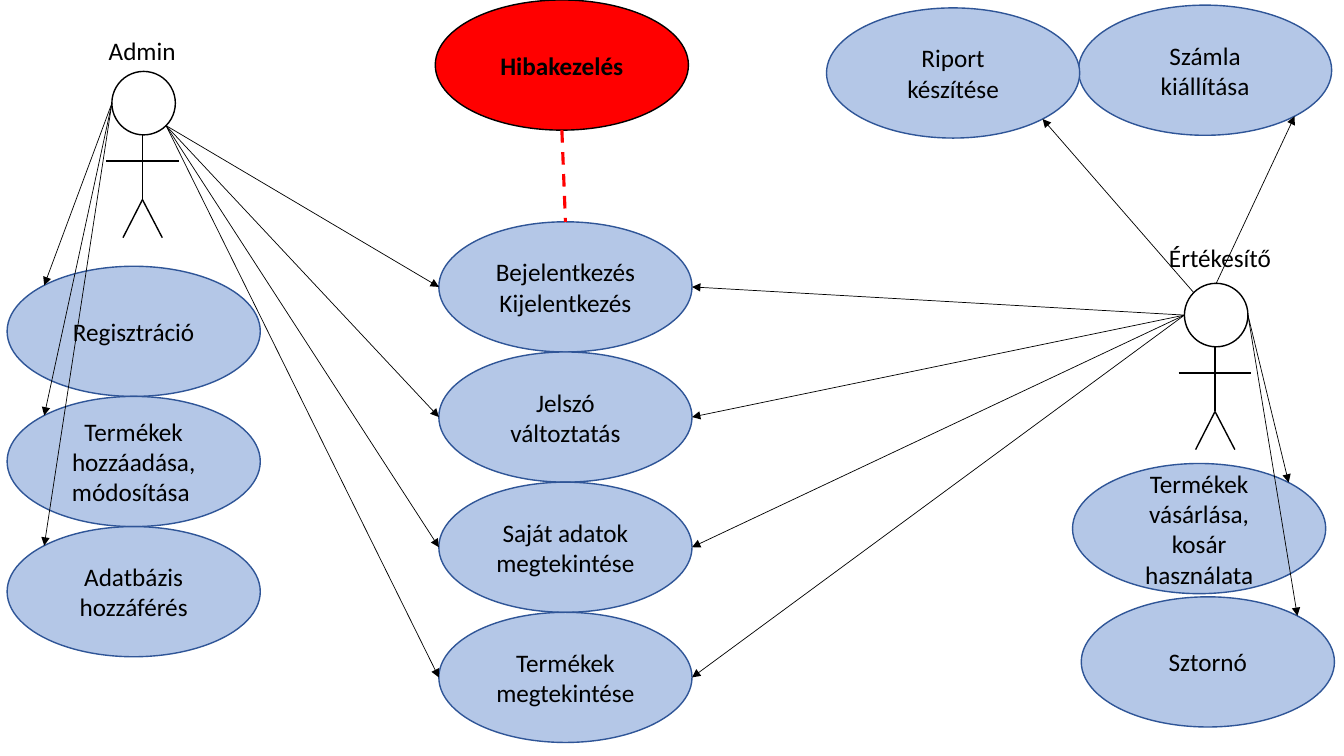
from dataclasses import dataclass
from enum import IntEnum
from math import cos, pi, sin
from typing import Any, Optional

from lxml.etree import SubElement
from pptx import Presentation
from pptx.dml.color import RGBColor as Rgb
from pptx.enum.dml import MSO_LINE_DASH_STYLE as Dash
from pptx.enum.shapes import MSO_CONNECTOR as Connector, MSO_SHAPE as Preset
from pptx.enum.text import MSO_ANCHOR as Anchor, MSO_AUTO_SIZE as AutoSize, PP_ALIGN as Align
from pptx.oxml.ns import qn
from pptx.util import Cm, Pt


@dataclass(frozen=True)
class Theme:
    """Colours, type and line widths of the diagram."""
    ink: Rgb = Rgb(0, 0, 0)
    paper: Rgb = Rgb(255, 255, 255)
    case_fill: Rgb = Rgb(0xB4, 0xC7, 0xE7)
    case_line: Rgb = Rgb(0x2F, 0x55, 0x97)
    alert: Rgb = Rgb(255, 0, 0)
    font: str = "Calibri"
    size: Pt = Pt(18)
    outline: Pt = Pt(1)
    arrow: Pt = Pt(0.5)
    dashed: Pt = Pt(2.25)


class Site(IntEnum):
    """Connection sites of an ellipse, anticlockwise from the top."""
    TOP = 0
    TOP_LEFT = 1
    LEFT = 2
    BOTTOM_LEFT = 3
    BOTTOM = 4
    BOTTOM_RIGHT = 5
    RIGHT = 6
    TOP_RIGHT = 7


@dataclass(frozen=True)
class UseCase:
    """An oval with its text and top left corner in centimetres."""
    key: str
    text: str
    left: float
    top: float
    is_alert: bool = False


@dataclass(frozen=True)
class Actor:
    """A stick figure: head corner and label box in centimetres."""
    name: str
    left: float
    top: float
    label_left: float
    label_top: float
    label_width: float


@dataclass(frozen=True)
class Link:
    """A line from a site of one oval to a site of others."""
    source: str
    start: Site
    targets: tuple[str, ...]
    end: Site
    is_alert: bool = False


THEME = Theme()
CASE_WIDTH, CASE_HEIGHT = 6.38, 3.28
HEAD, LABEL_HEIGHT = 1.6, 1.02
LIMBS = (
    (0.77, 1.6, 0.77, 3.23),
    (-0.15, 2.26, 1.68, 2.26),
    (0.77, 3.23, 1.27, 4.19),
    (0.77, 3.23, 0.28, 4.19),
)
ADMIN_CASES = (
    ("register", "Regisztráció"),
    ("edit", "Termékek hozzáadása, módosítása "),
    ("database", "Adatbázis hozzáférés"),
)
SHARED_CASES = (
    ("login", "Bejelentkezés\nKijelentkezés"),
    ("password", "Jelszó változtatás"),
    ("profile", "Saját adatok megtekintése"),
    ("products", "Termékek megtekintése"),
)


def stack(cases: tuple[tuple[str, str], ...], left: float, top: float) -> list[UseCase]:
    """Place use cases directly below one another."""
    return [UseCase(key, text, left, top + row * CASE_HEIGHT) for row, (key, text) in enumerate(cases)]


USE_CASES = [
    *stack(ADMIN_CASES, 0.18, 6.71),
    *stack(SHARED_CASES, 11.06, 5.59),
    UseCase("basket", "Termékek vásárlása, kosár használata", 27.03, 11.68),
    UseCase("cancel", "Sztornó", 27.25, 15.04),
    UseCase("invoice", "Számla kiállítása", 27.18, 0.13),
    UseCase("report", "Riport készítése", 20.83, 0.2),
    UseCase("errors", "Hibakezelés", 10.97, 0, True),
]
ACTORS = (
    Actor("Admin", 2.82, 1.8, 2.49, 0.76, 2.21),
    Actor("Értékesítő", 29.85, 7.14, 29.21, 5.99, 3.1),
)
ADMIN, SELLER = (actor.name for actor in ACTORS)
ADMIN_KEYS = tuple(key for key, _ in ADMIN_CASES)
SHARED_KEYS = tuple(key for key, _ in SHARED_CASES)
LINKS = (
    Link(ADMIN, Site.LEFT, ADMIN_KEYS, Site.TOP_LEFT),
    Link(ADMIN, Site.BOTTOM_RIGHT, SHARED_KEYS, Site.LEFT),
    Link(SELLER, Site.LEFT, SHARED_KEYS, Site.RIGHT),
    Link(SELLER, Site.RIGHT, ("basket", "cancel"), Site.TOP_RIGHT),
    Link(SELLER, Site.TOP, ("invoice",), Site.BOTTOM_RIGHT),
    Link(SELLER, Site.TOP_LEFT, ("report",), Site.BOTTOM_RIGHT),
    Link("errors", Site.BOTTOM, ("login",), Site.TOP, True),
)


def apply(target: Any, formats: dict[str, Any]) -> None:
    """Set each named attribute on the target."""
    for name, value in formats.items():
        setattr(target, name, value)


def write(frame: Any, text: str, align: Align, bold: Optional[bool] = None) -> None:
    """Write one paragraph in the theme's type."""
    para = frame.paragraphs[0]
    apply(para, {"text": text, "alignment": align})
    for span in para.runs:
        apply(span.font, {"name": THEME.font, "size": THEME.size, "bold": bold})
        span.font.color.rgb = THEME.ink


def draw_oval(shapes: Any, box: tuple[float, ...], fill: Rgb, line: Rgb) -> Any:
    """Draw a flat ellipse."""
    oval = shapes.add_shape(Preset.OVAL, *map(Cm, box))
    oval.shadow.inherit = False
    oval.fill.solid()
    oval.fill.fore_color.rgb = fill
    oval.line.color.rgb = line
    oval.line.width = THEME.outline
    return oval


def draw_line(shapes: Any, ends: tuple[int, ...], colour: Rgb, width: Pt) -> Any:
    """Draw a straight line without a shadow."""
    line = shapes.add_connector(Connector.STRAIGHT, *ends)
    line.line.color.rgb = colour
    line.line.width = width
    SubElement(line._element.spPr, qn("a:effectLst"))
    return line


def draw_case(page: Any, case: UseCase) -> Any:
    """Draw a use case with its centred text."""
    fill, line = (THEME.alert, THEME.ink) if case.is_alert else (THEME.case_fill, THEME.case_line)
    oval = draw_oval(page.shapes, (case.left, case.top, CASE_WIDTH, CASE_HEIGHT), fill, line)
    apply(oval.text_frame, {"word_wrap": True, "vertical_anchor": Anchor.MIDDLE})
    write(oval.text_frame, case.text, Align.CENTER, case.is_alert or None)
    return oval


def draw_actor(page: Any, actor: Actor) -> Any:
    """Draw a labelled stick figure and return its head."""
    figure = page.shapes.add_group_shape().shapes
    head = draw_oval(figure, (actor.left, actor.top, HEAD, HEAD), THEME.paper, THEME.ink)
    for x1, y1, x2, y2 in LIMBS:
        ends = (actor.left + x1, actor.top + y1, actor.left + x2, actor.top + y2)
        draw_line(figure, tuple(map(Cm, ends)), THEME.ink, THEME.outline)
    box = (actor.label_left, actor.label_top, actor.label_width, LABEL_HEIGHT)
    label = page.shapes.add_textbox(*map(Cm, box))
    apply(label.text_frame, {"word_wrap": False, "auto_size": AutoSize.SHAPE_TO_FIT_TEXT})
    write(label.text_frame, actor.name, Align.LEFT)
    return head


def site_point(oval: Any, site: Site) -> tuple[int, int]:
    """Find a connection site on an ellipse's outline."""
    angle = site * pi / 4
    return (round(oval.left + oval.width / 2 * (1 - sin(angle))),
            round(oval.top + oval.height / 2 * (1 - cos(angle))))


def draw_link(page: Any, link: Link, source: Any, target: Any) -> None:
    """Join two ovals by an arrow or a dashed alert line."""
    colour, width = (THEME.alert, THEME.dashed) if link.is_alert else (THEME.ink, THEME.arrow)
    ends = site_point(source, link.start) + site_point(target, link.end)
    line = draw_line(page.shapes, ends, colour, width)
    if link.is_alert:
        line.line.dash_style = Dash.DASH
    else:
        SubElement(line.line._get_or_add_ln(), qn("a:tailEnd"), type="triangle")
    joints = line._element.xpath(".//p:cNvCxnSpPr")[0]
    for tag, oval, site in (("a:stCxn", source, link.start), ("a:endCxn", target, link.end)):
        SubElement(joints, qn(tag), id=str(oval.shape_id), idx=str(int(site)))


def main() -> None:
    """Build the use case diagram."""
    deck = Presentation()
    apply(deck, {"slide_width": Cm(33.87), "slide_height": Cm(19.05)})
    page = deck.slides.add_slide(deck.slide_layouts[6])
    ovals = {actor.name: draw_actor(page, actor) for actor in ACTORS}
    ovals.update({case.key: draw_case(page, case) for case in USE_CASES})
    for link in LINKS:
        for target in link.targets:
            draw_link(page, link, ovals[link.source], ovals[target])
    deck.save("out.pptx")


if __name__ == "__main__":
    main()
